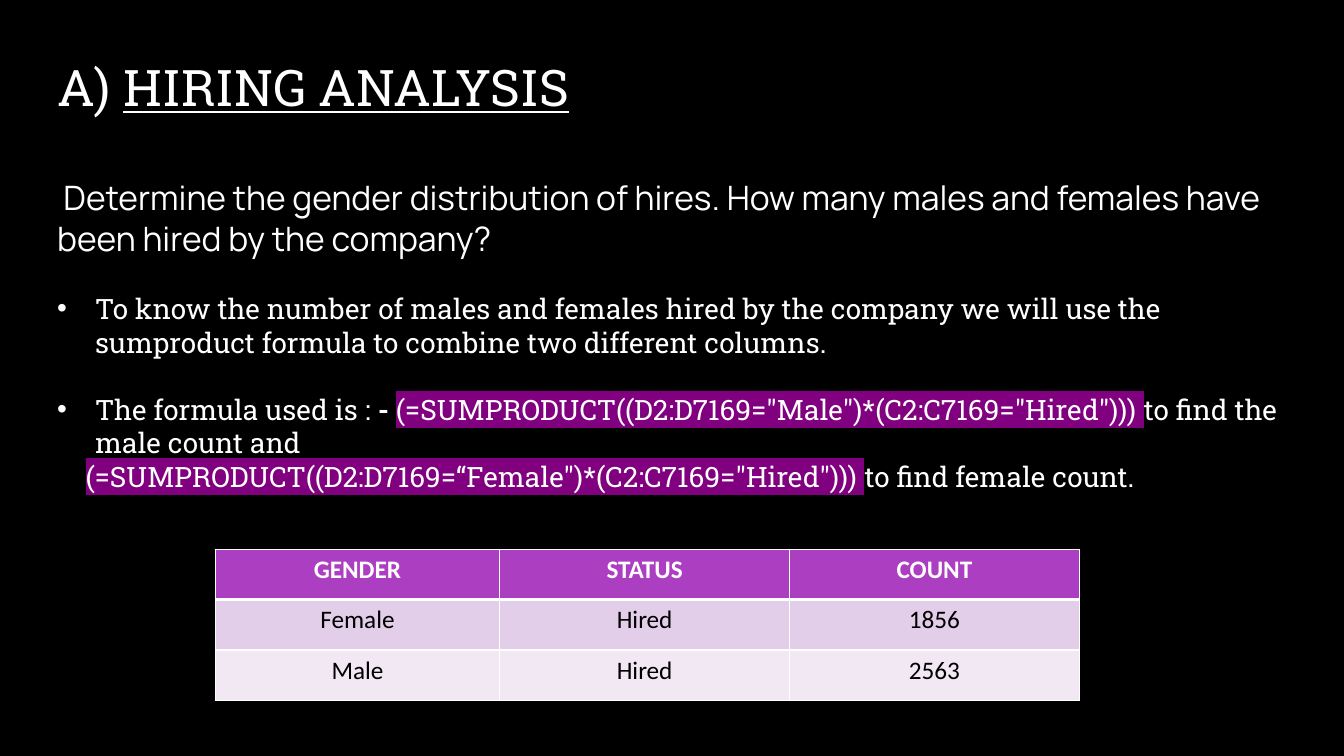
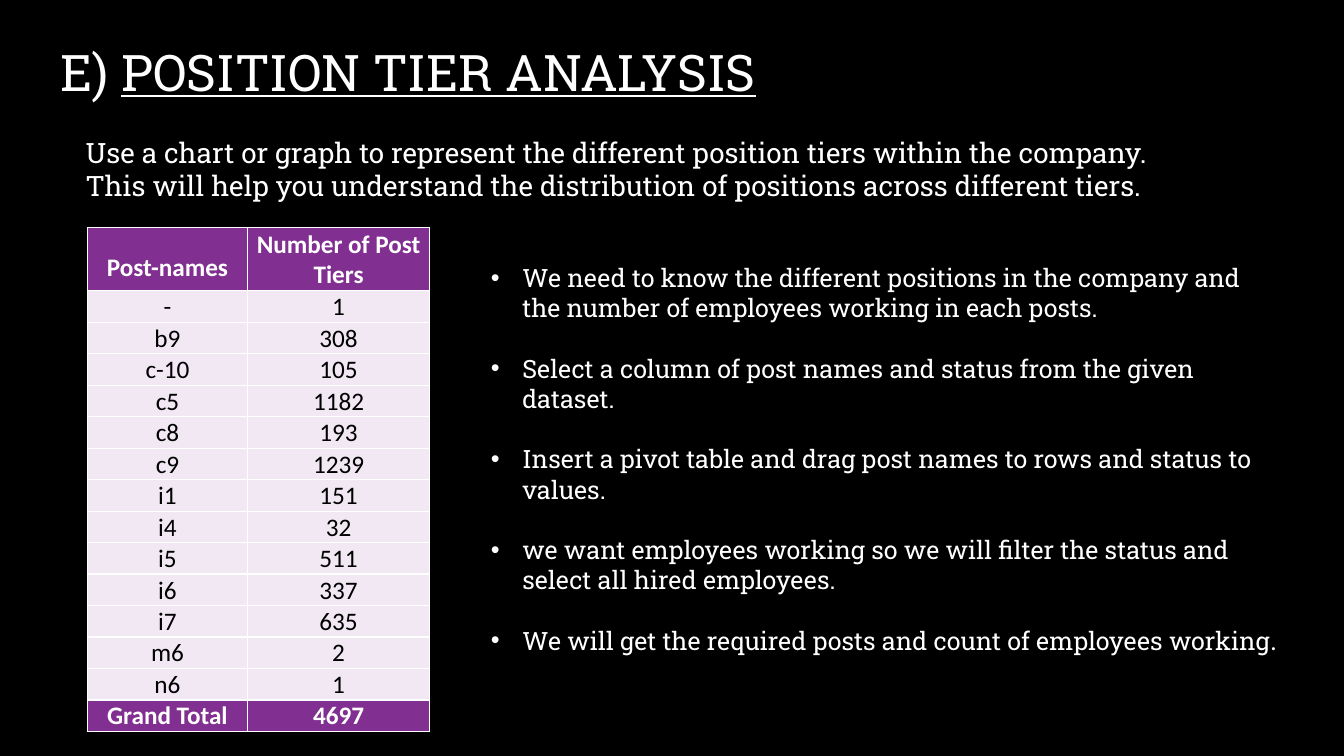
import pptx
import pptx.util
import pptx.dml.color
import pptx.enum.text
import pptx.oxml.ns
import lxml.etree

PX = 9525
HUES = {
    "back": "000000",
    "ink": "FFFFFF",
    "dark": "000000",
    "mark": "800080",
    "orchid": "AC3EC1",
    "plum": "812F91",
    "lilac": "E3CEE9",
    "pale": "F1E8F4",
}
SLAB, SANS, CELL = "Roboto Slab", "Manrope", "Calibri"
LEAD = 1.2
ALIGN = pptx.enum.text.PP_ALIGN
ANCHOR = pptx.enum.text.MSO_ANCHOR


def px(n):
    return pptx.util.Emu(n * PX)


def hue(name):
    return pptx.dml.color.RGBColor.from_string(HUES[name])


def sub(node, tag, **attrs):
    return lxml.etree.SubElement(node, pptx.oxml.ns.qn(tag), **attrs)


def text(frame, *runs, size=18, face=SLAB, tone="ink", bold=False, align=ALIGN.LEFT,
         lead=None, gap=0, left=0, first=0, dot=False):
    para = frame.paragraphs[0]
    if para.runs:
        para = frame.add_paragraph()
    para.alignment = align
    para.line_spacing = lead or pptx.util.Pt(size * LEAD)
    para.space_before = pptx.util.Pt(gap)
    props = para._p.get_or_add_pPr()
    props.set("marL", str(px(left)))
    props.set("indent", str(px(first)))
    if dot:
        sub(props, "a:buFont", typeface="Arial")
        sub(props, "a:buChar", char="•")
    for item in runs:
        words, look = (item, {}) if isinstance(item, str) else item
        run = para.add_run()
        run.text = words
        font = run.font
        font.size = pptx.util.Pt(size)
        font.name = look.get("face", face)
        font.bold = look.get("bold", bold)
        font.underline = look.get("line", False)
        font.color.rgb = hue(tone)
        if "mark" in look:
            node = lxml.etree.Element(pptx.oxml.ns.qn("a:highlight"))
            sub(node, "a:srgbClr", val=HUES[look["mark"]])
            run._r.rPr.find(pptx.oxml.ns.qn("a:solidFill")).addnext(node)


def box(slide, x, y, w, h):
    frame = slide.shapes.add_textbox(px(x), px(y), px(w), px(h)).text_frame
    frame.word_wrap = True
    return frame


def page(deck, mark, name, x, y):
    slide = deck.slides.add_slide(deck.slide_layouts[6])
    fill = slide.background.fill
    fill.solid()
    fill.fore_color.rgb = hue("back")
    text(box(slide, x, y, 1064, 68), mark + " ", (name, {"line": True}), size=36)
    return slide


def edge(cell, side, width):
    line = sub(cell._tc.get_or_add_tcPr(), "a:ln" + side, w=str(pptx.util.Pt(width)))
    sub(sub(line, "a:solidFill"), "a:srgbClr", val=HUES["ink"])


def grid(slide, x, y, wide, tall, data, fills, rule=1, tight=False):
    table = slide.shapes.add_table(
        len(data), len(wide), px(x), px(y), px(sum(wide)), px(sum(tall))).table
    table.first_row = table.horz_banding = False
    for col, width in zip(table.columns, wide):
        col.width = px(width)
    for r, (row, fill) in enumerate(zip(data, fills)):
        table.rows[r].height = px(tall[r])
        strong = fill in ("orchid", "plum")
        for c, words in enumerate(row):
            cell = table.cell(r, c)
            if tight:
                cell.margin_left = cell.margin_right = cell.margin_top = px(1)
                cell.margin_bottom = 0
                cell.vertical_anchor = ANCHOR.BOTTOM if r else ANCHOR.MIDDLE
            for side in "LRTB":
                edge(cell, side, rule if (side, r) in (("B", 0), ("T", 1)) else 1)
            cell.fill.solid()
            cell.fill.fore_color.rgb = hue(fill)
            text(cell.text_frame, words, face=CELL, bold=strong, align=ALIGN.CENTER,
                 tone="ink" if strong else "dark",
                 lead=1.5 if tight and (r, c) == (0, 0) else 1.0)


def hiring(deck):
    slide = page(deck, "A)", "HIRING ANALYSIS", 45, 49)
    frame = box(slide, 45, 164, 1190, 320)
    text(frame, "Determine the gender distribution of hires. How many males and females "
         "have been hired by the company?", size=24, face=SANS, first=6)
    point = dict(size=20, gap=24, left=36, first=-36, dot=True)
    mark = {"mark": "mark"}
    text(frame, "To know the number of males and females hired by the company we will use "
         "the sumproduct formula to combine two different columns.", **point)
    text(frame, "The formula used is : ", ("- ", {"bold": True}),
         ('(=SUMPRODUCT((D2:D7169="Male")*(C2:C7169="Hired"))) ', mark),
         "to find the male count and", **point)
    text(frame, ('(=SUMPRODUCT((D2:D7169=“Female")*(C2:C7169="Hired"))) ', mark),
         "to find female count.", size=20, left=27)
    data = [("GENDER", "STATUS", "COUNT"), ("Female", "Hired", "1856"),
            ("Male", "Hired", "2563")]
    grid(slide, 205, 523, [271, 276, 276], [48] * 3, data,
         ["orchid", "lilac", "pale"], rule=3)


def tiers(deck):
    slide = page(deck, "E)", "POSITION TIER ANALYSIS", 48, 34)
    posts = {"-": 1, "b9": 308, "c-10": 105, "c5": 1182, "c8": 193, "c9": 1239,
             "i1": 151, "i4": 32, "i5": 511, "i6": 337, "i7": 635, "m6": 2, "n6": 1}
    data = [("Post-names", "Number of Post Tiers")]
    data += [(post, str(count)) for post, count in posts.items()]
    data += [("Grand Total", str(sum(posts.values())))]
    size = len(posts)
    grid(slide, 83, 217, [153, 173], [60] + [30] * (size + 1), data,
         ["plum"] + ["pale"] * size + ["plum"], tight=True)
    steps = [
        ["We need to know the different positions in the company and the number of "
         "employees working in each posts."],
        ["Select a column of post names and status from the given dataset."],
        ["Insert a pivot table and drag post names to rows and status to values."],
        ["we want employees working so we will filter the status and select all "
         "hired employees."],
        ["We will get the required posts and count of employees working",
         (".", {"face": CELL})],
    ]
    frame = box(slide, 458, 245, 772, 417)
    for n, step in enumerate(steps):
        text(frame, *step, gap=18 * LEAD if n else 0, left=30, first=-30, dot=True)
    text(box(slide, 72, 124, 1081, 74),
         "Use a chart or graph to represent the different position tiers within the "
         "company. This will help you understand the distribution of positions across "
         "different tiers.", size=20)


def main():
    deck = pptx.Presentation()
    deck.slide_width, deck.slide_height = px(1280), px(720)
    hiring(deck)
    tiers(deck)
    deck.save("out.pptx")


if __name__ == "__main__":
    main()
